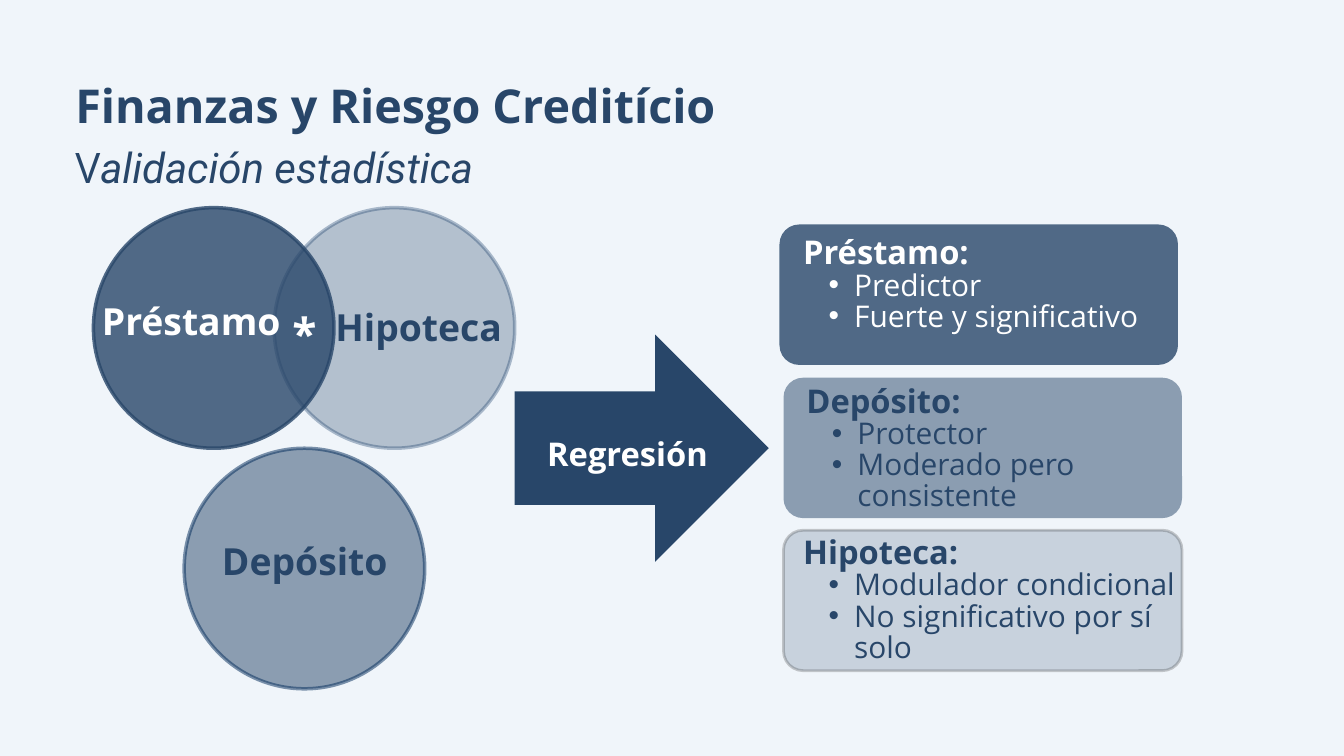
from typing import Any, NamedTuple, Optional

import pptx
import pptx.dml.color
import pptx.enum.shapes
import pptx.enum.text
import pptx.oxml.ns
import pptx.util
from lxml import etree

Inches = pptx.util.Inches
Pt = pptx.util.Pt
SHAPE = pptx.enum.shapes.MSO_SHAPE
ALIGN = pptx.enum.text.PP_ALIGN
COLORS = {"background": "F0F5FA", "navy": "284669", "edge": "012A5A",
          "white": "FFFFFF", "black": "000000"}
DIAMETER = 3.58
CARD_SIZE = (5.93, 2.09)


class Box(NamedTuple):
    left: float
    top: float
    width: float
    height: float


class Circle(NamedTuple):
    left: float
    top: float
    opacity: int
    edge: str


class Label(NamedTuple):
    text: str
    box: Box
    color: str
    size: float = 40
    spacing: float = 41.6


class Card(NamedTuple):
    left: float
    top: float
    opacity: int
    edge: Optional[str]
    text_box: Box
    color: str
    heading: str
    points: tuple[str, ...]


CIRCLES = (
    Circle(4.08, 3.09, 30, "edge"),
    Circle(1.39, 3.09, 80, "navy"),
    Circle(2.74, 6.67, 50, "edge"),
)
LABELS = (
    Label("Hipoteca", Box(4.79, 4.61, 2.88, 0.6), "navy"),
    Label("Préstamo", Box(1.44, 4.52, 2.81, 0.6), "white"),
    Label("*", Box(4.35, 4.66, 0.36, 0.72), "white", 47.5, 49.4),
    Label("Depósito", Box(3.11, 8.09, 2.85, 0.6), "navy"),
)
CARDS = (
    Card(11.6, 3.34, 80, None, Box(11.95, 3.53, 5.51, 1.96), "white",
         "Préstamo:", ("Predictor", "Fuerte y significativo")),
    Card(11.66, 5.62, 50, None, Box(12, 5.74, 5.46, 2.42), "navy",
         "Depósito:", ("Protector", "Moderado pero consistente")),
    Card(11.66, 7.89, 20, "black", Box(11.95, 7.99, 5.65, 2.42), "navy",
         "Hipoteca:", ("Modulador condicional", "No significativo por sí solo")),
)


def rgb(name: str) -> pptx.dml.color.RGBColor:
    return pptx.dml.color.RGBColor.from_string(COLORS[name])


def paint(fill: Any, color: str, opacity: int) -> None:
    """Give a fill a solid colour with an opacity in percent."""
    fill.solid()
    fill.fore_color.rgb = rgb(color)
    if opacity < 100:
        for node in fill._xPr.iter(pptx.oxml.ns.qn("a:srgbClr")):
            alpha = etree.SubElement(node, pptx.oxml.ns.qn("a:alpha"))
            alpha.set("val", str(opacity * 1000))


def add_figure(slide: Any, kind: Any, box: Box, opacity: int = 100,
               edge: Optional[str] = None, edge_width: float = 3.75) -> Any:
    figure = slide.shapes.add_shape(kind, *map(Inches, box))
    figure.shadow.inherit = False
    paint(figure.fill, "navy", opacity)
    if edge:
        figure.line.width = Pt(edge_width)
        paint(figure.line.fill, edge, opacity)
    else:
        figure.line.fill.background()
    return figure


def add_frame(slide: Any, box: Box, margin: float = 0) -> Any:
    frame = slide.shapes.add_textbox(*map(Inches, box)).text_frame
    settings = {f"margin_{side}": Inches(margin)
                for side in ("left", "top", "right", "bottom")}
    settings["word_wrap"] = True
    for name, value in settings.items():
        setattr(frame, name, value)
    return frame


def add_run(paragraph: Any, text: str, size: float, color: str,
            face: str = "Open Sans", bold: bool = True, italic: bool = False) -> None:
    run = paragraph.add_run()
    run.text = text
    settings = {"name": face, "size": Pt(size), "bold": bold, "italic": italic}
    for name, value in settings.items():
        setattr(run.font, name, value)
    run.font.color.rgb = rgb(color)


def add_label(slide: Any, label: Label, margin: float = 0) -> Any:
    frame = add_frame(slide, label.box, margin)
    paragraph = frame.paragraphs[0]
    paragraph.alignment = ALIGN.CENTER
    paragraph.line_spacing = Pt(label.spacing)
    add_run(paragraph, label.text, label.size, label.color)
    return frame


def add_bullet(paragraph: Any) -> None:
    properties = paragraph._p.get_or_add_pPr()
    properties.set("marL", str(Inches(0.76)))
    properties.set("indent", str(Inches(-0.38)))
    face = etree.SubElement(properties, pptx.oxml.ns.qn("a:buFont"))
    face.set("typeface", "Arial")
    bullet = etree.SubElement(properties, pptx.oxml.ns.qn("a:buChar"))
    bullet.set("char", "•")


def add_card(slide: Any, card: Card) -> None:
    panel = add_figure(slide, SHAPE.ROUNDED_RECTANGLE,
                       Box(card.left, card.top, *CARD_SIZE), card.opacity, card.edge, 3)
    panel.adjustments[0] = 0.14
    frame = add_frame(slide, card.text_box)
    heading = frame.paragraphs[0]
    heading.line_spacing = Pt(36.4)
    add_run(heading, card.heading, 35, card.color)
    for point in card.points:
        paragraph = frame.add_paragraph()
        paragraph.level = 1
        paragraph.line_spacing = Pt(33.3)
        add_bullet(paragraph)
        add_run(paragraph, point, 32, card.color, bold=False)


def add_title(slide: Any) -> None:
    frame = add_frame(slide, Box(1.12, 1.01, 17.75, 1.83))
    title, subtitle = frame.paragraphs[0], frame.add_paragraph()
    title.line_spacing, subtitle.line_spacing = Pt(70), Pt(63)
    add_run(title, "Finanzas y Riesgo Creditício", 50, "navy")
    add_run(subtitle, "V", 45, "navy", bold=False)
    add_run(subtitle, "alidación estadística", 45, "navy", "Roboto", False, True)


def main() -> None:
    deck = pptx.Presentation()
    deck.slide_width, deck.slide_height = Inches(20), Inches(11.25)
    slide = deck.slides.add_slide(deck.slide_layouts[6])
    paint(slide.background.fill, "background", 100)

    add_title(slide)

    # Overlapping products
    for circle in CIRCLES:
        add_figure(slide, SHAPE.OVAL, Box(circle.left, circle.top, DIAMETER, DIAMETER),
                   circle.opacity, circle.edge)
    for label in LABELS:
        add_label(slide, label)

    # Regression arrow
    add_figure(slide, SHAPE.RIGHT_ARROW, Box(7.66, 4.98, 3.78, 3.38))
    regression = Label("Regresión", Box(7.66, 6.06, 3.36, 1.45), "white", 35, 36.4)
    frame = add_label(slide, regression, 0.06)
    frame.vertical_anchor = pptx.enum.text.MSO_ANCHOR.MIDDLE

    # Findings
    for card in CARDS:
        add_card(slide, card)

    deck.save("out.pptx")


if __name__ == "__main__":
    main()
